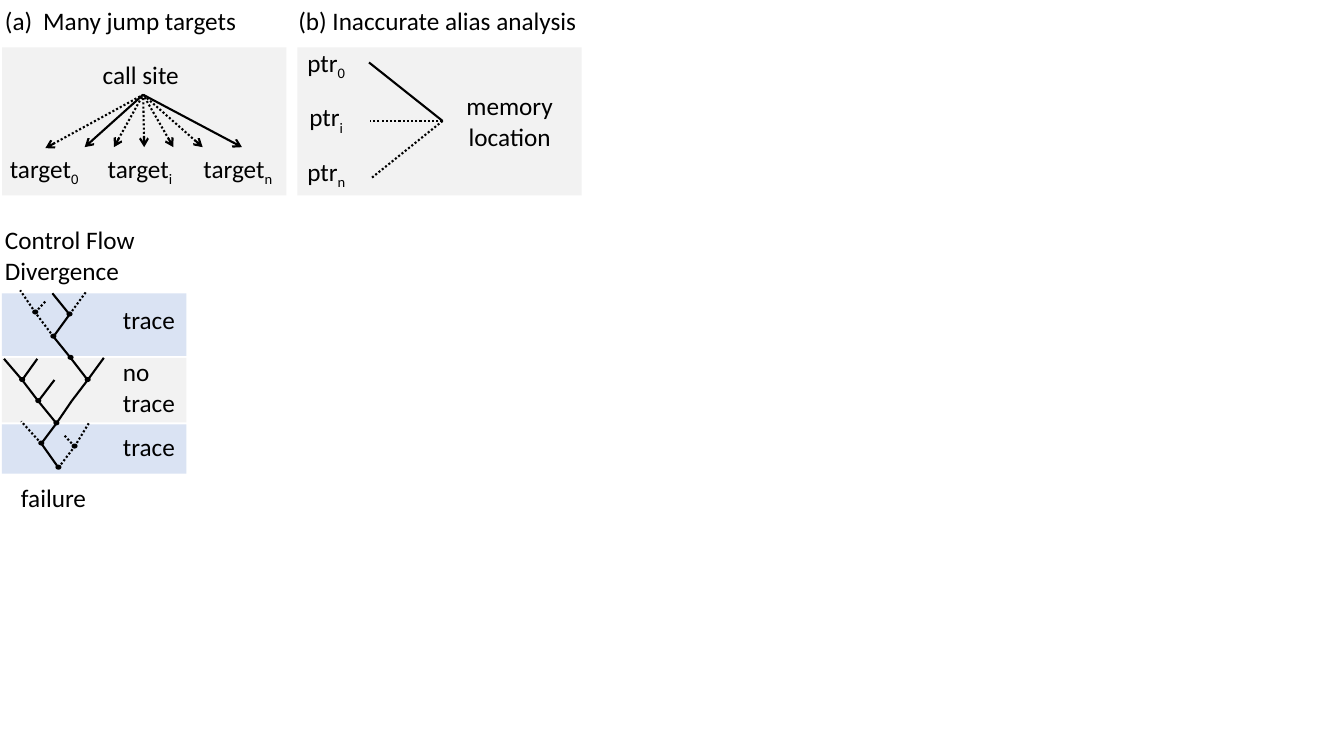
from dataclasses import dataclass

from lxml import etree
from pptx import Presentation
from pptx import util as u
from pptx.dml.color import RGBColor
from pptx.enum import dml, shapes, text
from pptx.oxml.ns import qn

PX = 9144


@dataclass(frozen=True)
class Theme:
    """Colours, font and sizes used on the slide."""

    ink: RGBColor = RGBColor(0x00, 0x00, 0x00)
    traced: RGBColor = RGBColor(0xDA, 0xE3, 0xF3)
    plain: RGBColor = RGBColor(0xF2, 0xF2, 0xF2)
    font: str = "Calibri"
    size: u.Pt = u.Pt(18)
    line: u.Pt = u.Pt(1.5)


THEME = Theme()


def add_filled(slide, kind, box, color):
    """Add a borderless preset shape."""
    shape = slide.shapes.add_shape(kind, *[PX * n for n in box])
    shape.shadow.inherit = False
    shape.fill.solid()
    shape.fill.fore_color.rgb = color
    shape.line.fill.background()
    return shape


def add_label(slide, box, lines, subscript="", align=None, numbered=False):
    """Add unwrapped text, optionally with a subscript or an automatic letter."""
    label = slide.shapes.add_textbox(*[PX * n for n in box])
    frame = label.text_frame
    frame.text = lines
    frame.word_wrap = False
    frame.auto_size = text.MSO_AUTO_SIZE.SHAPE_TO_FIT_TEXT
    if subscript:
        run = frame.paragraphs[0].add_run()
        run.text = subscript
        run.font._element.set("baseline", "-25000")
    for paragraph in frame.paragraphs:
        paragraph.alignment = align
        if numbered:
            properties = paragraph._p.get_or_add_pPr()
            properties.set("marL", str(38 * PX))
            properties.set("indent", str(-38 * PX))
            bullet = etree.SubElement(properties, qn("a:buAutoNum"))
            bullet.set("type", "alphaLcParenBoth")
        for run in paragraph.runs:
            run.font.name = THEME.font
            run.font.size = THEME.size
            run.font.color.rgb = THEME.ink
    return label


def add_line(slide, start, end, dotted=False, arrow=False):
    """Add a straight line, with an optional arrowhead at its start."""
    line = slide.shapes.add_connector(
        shapes.MSO_CONNECTOR.STRAIGHT, *[PX * n for n in (*start, *end)])
    line.line.color.rgb = THEME.ink
    line.line.width = THEME.line
    if dotted:
        line.line.dash_style = dml.MSO_LINE.ROUND_DOT
    if arrow:
        head = etree.SubElement(line.line._get_or_add_ln(), qn("a:headEnd"))
        head.set("type", "arrow")
    etree.SubElement(line._element.spPr, qn("a:effectLst"))
    return line


def add_jump_targets(slide, left, top, width, height):
    """Draw panel (a), a call site fanning out to its targets."""
    add_filled(slide, shapes.MSO_SHAPE.RECTANGLE, (left, top, width, height), THEME.plain)
    add_label(slide, (left - 7, top - 47, 251, 40), "Many jump targets", numbered=True)
    call_site = add_label(slide, (left + 90, top + 7, 100, 40), "call site")
    targets = [
        add_label(slide, (left + x, top + 100, label_width, 40), "target", subscript)
        for subscript, x, label_width in (("0", -2, 90), ("i", 95, 85), ("n", 190, 90))
    ]
    for x in (43, 82, 111, 141, 170, 199, 238):
        arrow = add_line(slide, (left + x, top + 99), (left + 140, top + 47),
                         dotted=x not in (82, 238), arrow=True)
        arrow.end_connect(call_site, 2)
        if x == 43:
            arrow.begin_connect(targets[0], 0)


def add_alias_analysis(slide, left, top, width, height):
    """Draw panel (b), pointers meeting at one memory location."""
    add_filled(slide, shapes.MSO_SHAPE.RECTANGLE, (left, top, width, height), THEME.plain)
    add_label(slide, (left - 9, top - 47, 299, 40), "(b) Inaccurate alias analysis")
    pointers = (("0", 0, 59, 71, 15), ("i", 2, 54, 72, 73), ("n", 0, 59, 73, 130))
    for row, (subscript, x, label_width, line_x, line_y) in enumerate(pointers):
        add_label(slide, (left + x, top - 5 + 54 * row, label_width, 40), "ptr", subscript)
        add_line(slide, (left + 144, top + 73), (left + line_x, top + line_y), dotted=row > 0)
    add_label(slide, (left + 157, top + 38, 107, 71), "memory\nlocation",
              align=text.PP_ALIGN.CENTER)


def add_divergence(slide, left, top, width):
    """Draw the control flow tree over its traced and untraced bands."""
    bands = (
        (0, 62, THEME.traced, "trace", 6, 40),
        (64, 64, THEME.plain, "no\ntrace", 58, 71),
        (130, 49, THEME.traced, "trace", 132, 40),
    )
    for y, height, color, caption, label_y, label_height in bands:
        add_filled(slide, shapes.MSO_SHAPE.RECTANGLE, (left, top + y, width, height), color)
        add_label(slide, (left + 110, top + label_y, 72, label_height), caption)
    add_label(slide, (left - 7, top - 73, 156, 71), "Control Flow\nDivergence")
    add_label(slide, (left + 9, top + 183, 85, 40), "failure")

    nodes = {
        "upper left": (33, 19), "upper right": (67, 21), "upper join": (51, 43),
        "entry": (68, 64), "middle left": (20, 86), "middle right": (85, 86),
        "middle join": (36, 107), "exit": (54, 129),
        "lower left": (39, 149), "lower right": (72, 152), "failure": (56, 173),
    }
    bend = (69, 107)
    solid = (
        ("exit", "middle join"), ("exit", bend), (bend, "middle right"),
        ("middle join", "middle left"), ("middle join", (52, 86)),
        ("middle left", (2, 65)), ("middle left", (35, 65)),
        ("middle right", "entry"), ("middle right", (101, 64)),
        ("entry", "upper join"), ("upper join", "upper right"), ("upper right", (50, 0)),
        ("failure", "lower left"), ("lower left", "exit"),
    )
    dotted = (
        ("lower left", (19, 127)), ("failure", "lower right"),
        ("lower right", (86, 129)), ("lower right", (61, 140)),
        ("upper right", (83, -1)), ("upper join", "upper left"),
        ("upper left", (18, -3)), ("upper left", (43, 8)),
    )
    for edges, is_dotted in ((solid, False), (dotted, True)):
        for edge in edges:
            start, end = [(left + x, top + y) for x, y in (nodes.get(n, n) for n in edge)]
            add_line(slide, start, end, is_dotted)
    for x, y in nodes.values():
        add_filled(slide, shapes.MSO_SHAPE.OVAL, (left + x - 3, top + y - 3, 6, 5), THEME.ink)


def main():
    """Build and save the slide."""
    presentation = Presentation()
    presentation.slide_width = 1333 * PX
    presentation.slide_height = 750 * PX
    slide = presentation.slides.add_slide(presentation.slide_layouts[6])
    add_jump_targets(slide, 2, 47, 282, 147)
    add_alias_analysis(slide, 295, 47, 282, 147)
    add_divergence(slide, 2, 291, 183)
    presentation.save("out.pptx")


if __name__ == "__main__":
    main()
